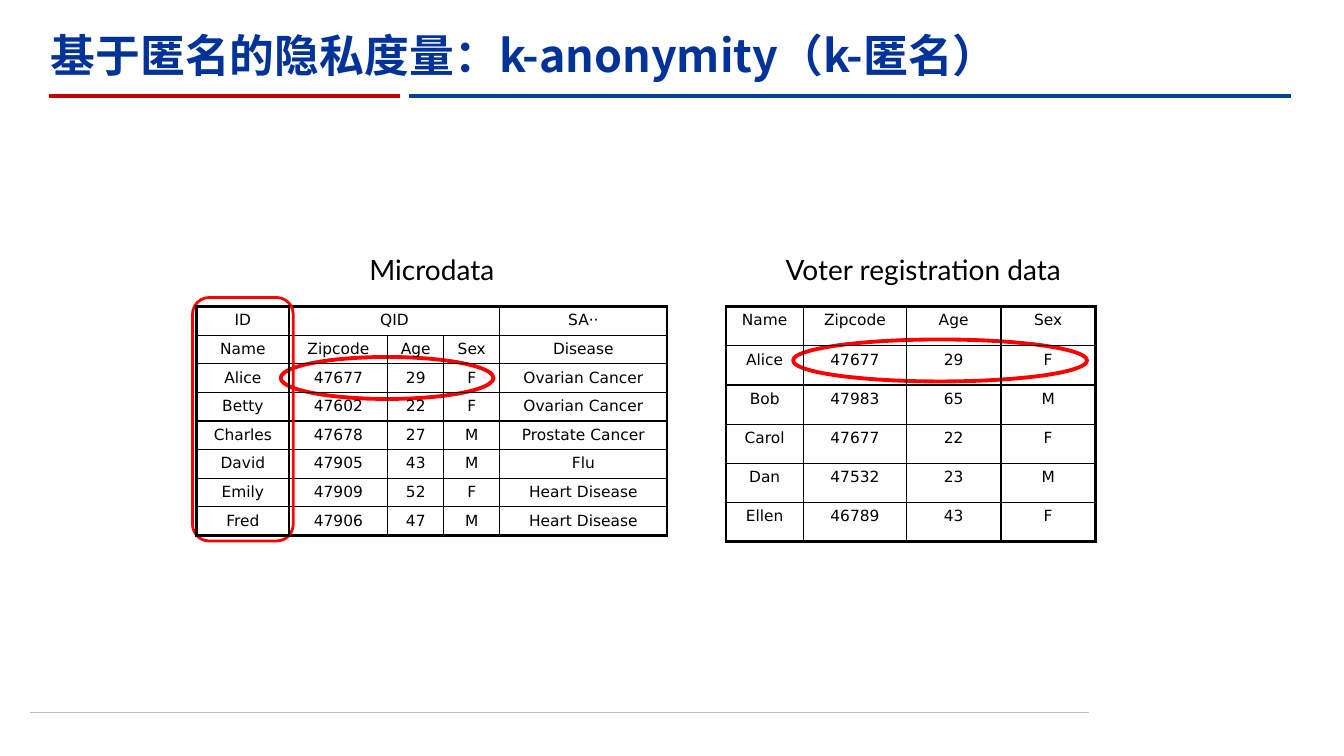
from lxml.etree import SubElement
from pptx import Presentation
from pptx.dml.color import RGBColor
from pptx.enum.shapes import MSO_CONNECTOR, MSO_SHAPE
from pptx.enum.text import MSO_ANCHOR, PP_ALIGN
from pptx.oxml.ns import qn
from pptx.util import Pt

COLORS = {"title": "003399", "text": "000000", "mark": "FF0000", "red_rule": "C00000",
          "blue_rule": "004299", "footer_rule": "BFBFBF"}
TITLE_FONT, HEADING_FONT, CELL_FONT = "Noto Sans CJK SC", "Lato", "DejaVu Sans"
NO_TABLE_STYLE = "{2D5ABB26-0587-4C30-8999-92F81FD0307C}"
OUTER, INNER = 2.25, 1

IDS = [["ID"], ["Name"], ["Alice"], ["Betty"], ["Charles"], ["David"], ["Emily"], ["Fred"]]
MICRODATA = [
    ["QID", "", "", "SA··"],
    ["Zipcode", "Age", "Sex", "Disease"],
    ["47677", "29", "F", "Ovarian Cancer"],
    ["47602", "22", "F", "Ovarian Cancer"],
    ["47678", "27", "M", "Prostate Cancer"],
    ["47905", "43", "M", "Flu"],
    ["47909", "52", "F", "Heart Disease"],
    ["47906", "47", "M", "Heart Disease"],
]
VOTERS = [
    ["Name", "Zipcode", "Age", "Sex"],
    ["Alice", "47677", "29", "F"],
    ["Bob", "47983", "65", "M"],
    ["Carol", "47677", "22", "F"],
    ["Dan", "47532", "23", "M"],
    ["Ellen", "46789", "43", "F"],
]


def rgb(name):
    return RGBColor.from_string(COLORS[name])


def style(paragraph, font_name, size, color, align=PP_ALIGN.CENTER):
    paragraph.alignment = align
    font = paragraph.font
    font.name, font.size = font_name, Pt(size)
    font.color.rgb = rgb(color)


def add_rule(slide, left, right, y, color, width):
    rule = slide.shapes.add_connector(MSO_CONNECTOR.STRAIGHT, Pt(left), Pt(y), Pt(right), Pt(y))
    rule.line.color.rgb = rgb(color)
    rule.line.width = Pt(width)
    SubElement(rule._element.spPr, qn("a:effectLst"))


def add_heading(slide, text, left, top, width, height):
    box = slide.shapes.add_textbox(Pt(left), Pt(top), Pt(width), Pt(height))
    box.text_frame.word_wrap = True
    box.text_frame.text = text
    style(box.text_frame.paragraphs[0], HEADING_FONT, 20, "text")


def add_mark(slide, kind, left, top, width, height, line_width):
    mark = slide.shapes.add_shape(kind, Pt(left), Pt(top), Pt(width), Pt(height))
    mark.shadow.inherit = False
    mark.fill.background()
    mark.line.color.rgb = rgb("mark")
    mark.line.width = Pt(line_width)


def set_borders(cell, widths):
    properties = cell._tc.get_or_add_tcPr()
    for side, width in zip(("lnL", "lnR", "lnT", "lnB"), widths):
        line = SubElement(properties, qn(f"a:{side}"), w=str(Pt(width)))
        fill = SubElement(line, qn("a:solidFill"))
        SubElement(fill, qn("a:srgbClr"), val=COLORS["text"])


def add_grid(slide, rows, left, top, column_widths, row_height, merged=0):
    """Table with thick outer and thin inner lines; merged counts joined header cells."""
    row_count, column_count = len(rows), len(column_widths)
    table = slide.shapes.add_table(row_count, column_count, Pt(left), Pt(top),
                                   Pt(sum(column_widths)), Pt(row_height * row_count)).table
    table.first_row = table.horz_banding = False
    table._tbl.tblPr.find(qn("a:tableStyleId")).text = NO_TABLE_STYLE
    for column, width in zip(table.columns, column_widths):
        column.width = Pt(width)
    if merged:
        table.cell(0, 0).merge(table.cell(0, merged - 1))
    for r, values in enumerate(rows):
        table.rows[r].height = Pt(row_height)
        for c, value in enumerate(values):
            cell = table.cell(r, c)
            if cell.is_spanned:
                continue
            cell.text = value
            style(cell.text_frame.paragraphs[0], CELL_FONT, 11, "text")
            edges = (c == 0, c == column_count - 1, r == 0, r == row_count - 1)
            set_borders(cell, [OUTER if edge else INNER for edge in edges])
            cell.fill.background()


def add_title(slide, text, left, top, width, height):
    title = slide.shapes.title
    title.left, title.top, title.width, title.height = Pt(left), Pt(top), Pt(width), Pt(height)
    frame = title.text_frame
    frame.text = text
    frame.vertical_anchor = MSO_ANCHOR.MIDDLE
    paragraph = frame.paragraphs[0]
    style(paragraph, TITLE_FONT, 32, "title", PP_ALIGN.LEFT)
    paragraph.font.bold = True
    SubElement(paragraph.font._element, qn("a:ea"), typeface=TITLE_FONT)
    # Two-colour rule under the title
    rule_y = top + height - 0.5
    add_rule(slide, left + 263.5, left + 893.5, rule_y, "blue_rule", 3)
    add_rule(slide, left + 6, left + 257, rule_y, "red_rule", 3)


def add_voters(slide, left, top):
    add_heading(slide, "Voter registration data", left + 18, top, 246, 24)
    add_mark(slide, MSO_SHAPE.OVAL, left + 48, top + 66, 210, 30, 2.75)
    add_grid(slide, VOTERS, left, top + 42.5, [55.5, 73.5, 67.5, 67.5], 28)


def add_microdata(slide, left, top):
    add_heading(slide, "Microdata", left + 42, top, 252, 30)
    add_mark(slide, MSO_SHAPE.OVAL, left + 60, top + 78.5, 152, 30, 2.75)
    add_grid(slide, MICRODATA, left + 66, top + 42.5, [70.5, 40, 40, 119.5], 20.4, merged=3)
    # Identifier column with its outline
    add_mark(slide, MSO_SHAPE.ROUNDED_RECTANGLE, left - 3, top + 36, 72, 174, 2)
    add_grid(slide, IDS, left, top + 42.5, [66], 20.4)


def main():
    presentation = Presentation()
    presentation.slide_width, presentation.slide_height = Pt(960), Pt(540)
    slide = presentation.slides.add_slide(presentation.slide_layouts[5])
    add_rule(slide, 21.5, 778, 509, "footer_rule", 0.5)
    add_title(slide, "基于匿名的隐私度量：k-anonymity（k-匿名）", 29, 8.5, 753, 60.5)
    add_voters(slide, 518.5, 176.5)
    add_microdata(slide, 140.5, 176.5)
    presentation.save("out.pptx")


if __name__ == "__main__":
    main()
